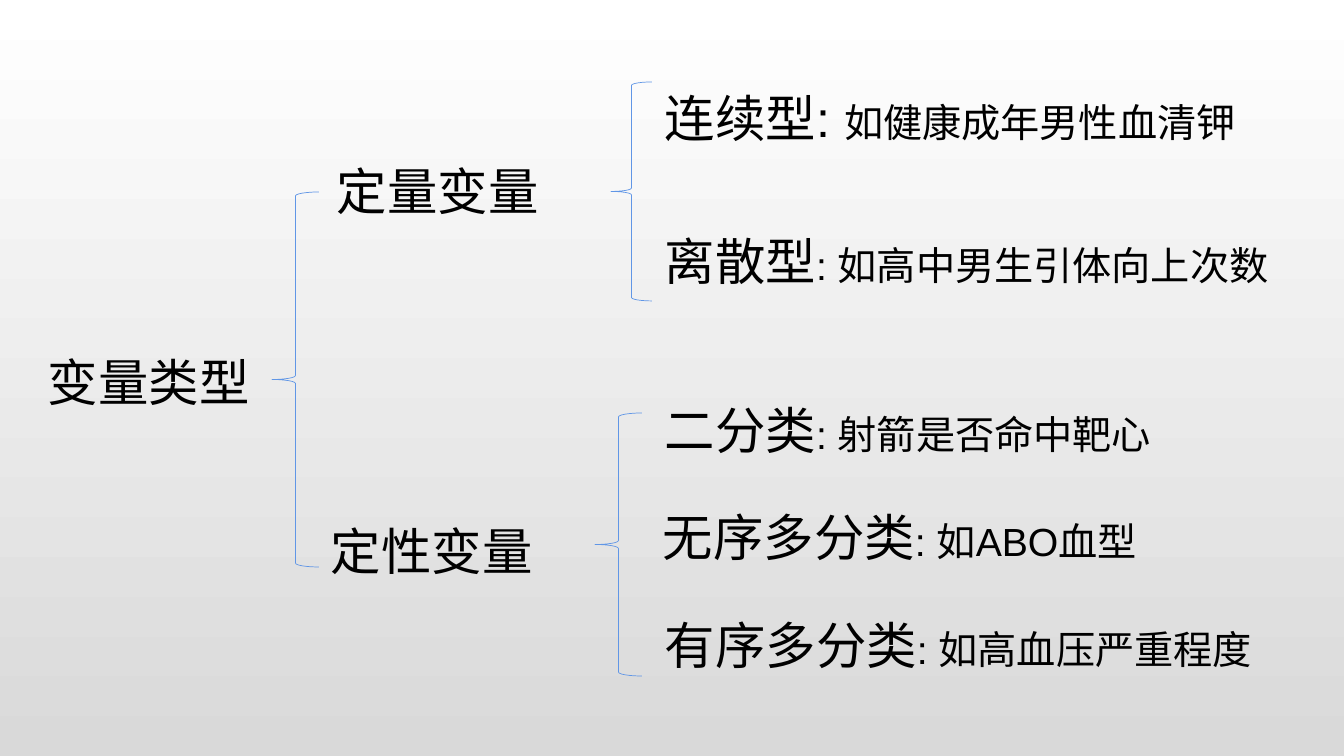
from pptx import Presentation
from pptx.dml.color import RGBColor
from pptx.enum.shapes import MSO_SHAPE
from pptx.enum.text import MSO_AUTO_SIZE
from pptx.util import Emu, Pt

BRACE = MSO_SHAPE.LEFT_BRACE
GROW = MSO_AUTO_SIZE.SHAPE_TO_FIT_TEXT
SCALE = 12192000 / 1344
WIDTH, HEIGHT = 1344, 756
LABEL_HEIGHT = 72
LABEL_FORMAT = {"name": "Arial", "size": Pt(36)}
EXAMPLE_FORMAT = {"name": "Arial", "size": Pt(28)}

BRACES = [
    (272, 192, 47, 375),
    (611, 82, 41, 219),
    (595, 413, 47, 263),
]
LABELS = [
    (38, 346, 234, "变量类型", ""),
    (327, 155, 297, "定量变量", ""),
    (321, 515, 297, "定性变量", ""),
    (655, 82, 614, "连续型: ", "如健康成年男性血清钾"),
    (655, 225, 643, "离散型", ": 如高中男生引体向上次数"),
    (655, 394, 614, "二分类", ": 射箭是否命中靶心"),
    (653, 501, 593, "无序多分类", ": 如ABO血型"),
    (655, 609, 624, "有序多分类", ": 如高血压严重程度"),
]


def px(n):
    return Emu(round(n * SCALE))


def rgb(value):
    return RGBColor.from_string(value)


def paint_background(s, top, bottom):
    fill = s.background.fill
    fill.gradient()
    fill.gradient_angle = 270
    for stop, position, color in zip(fill.gradient_stops, (0, 1), (top, bottom)):
        stop.position = position
        stop.color.rgb = rgb(color)


def add_brace(s, x, y, w, h):
    sp = s.shapes.add_shape(BRACE, px(x), px(y), px(w), px(h))
    sp.shadow.inherit = False
    sp.fill.background()
    sp.line.color.rgb = rgb("6096E6")
    sp.line.width = Pt(0.5)


def add_run(p, text, formats):
    r = p.add_run()
    r.text = text
    for name, value in formats.items():
        setattr(r.font, name, value)
    r.font.color.rgb = rgb("000000")


def add_label(s, x, y, w, term, example):
    sp = s.shapes.add_textbox(px(x), px(y), px(w), px(LABEL_HEIGHT))
    tf = sp.text_frame
    tf.word_wrap = True
    tf.auto_size = GROW
    p = tf.paragraphs[0]
    add_run(p, term, LABEL_FORMAT)
    if example:
        add_run(p, example, EXAMPLE_FORMAT)


def main():
    prs = Presentation()
    prs.slide_width, prs.slide_height = px(WIDTH), px(HEIGHT)
    s = prs.slides.add_slide(prs.slide_layouts[6])
    paint_background(s, "FFFFFF", "D9D9D9")
    for brace in BRACES:
        add_brace(s, *brace)
    for label in LABELS:
        add_label(s, *label)
    prs.save("out.pptx")


if __name__ == "__main__":
    main()
